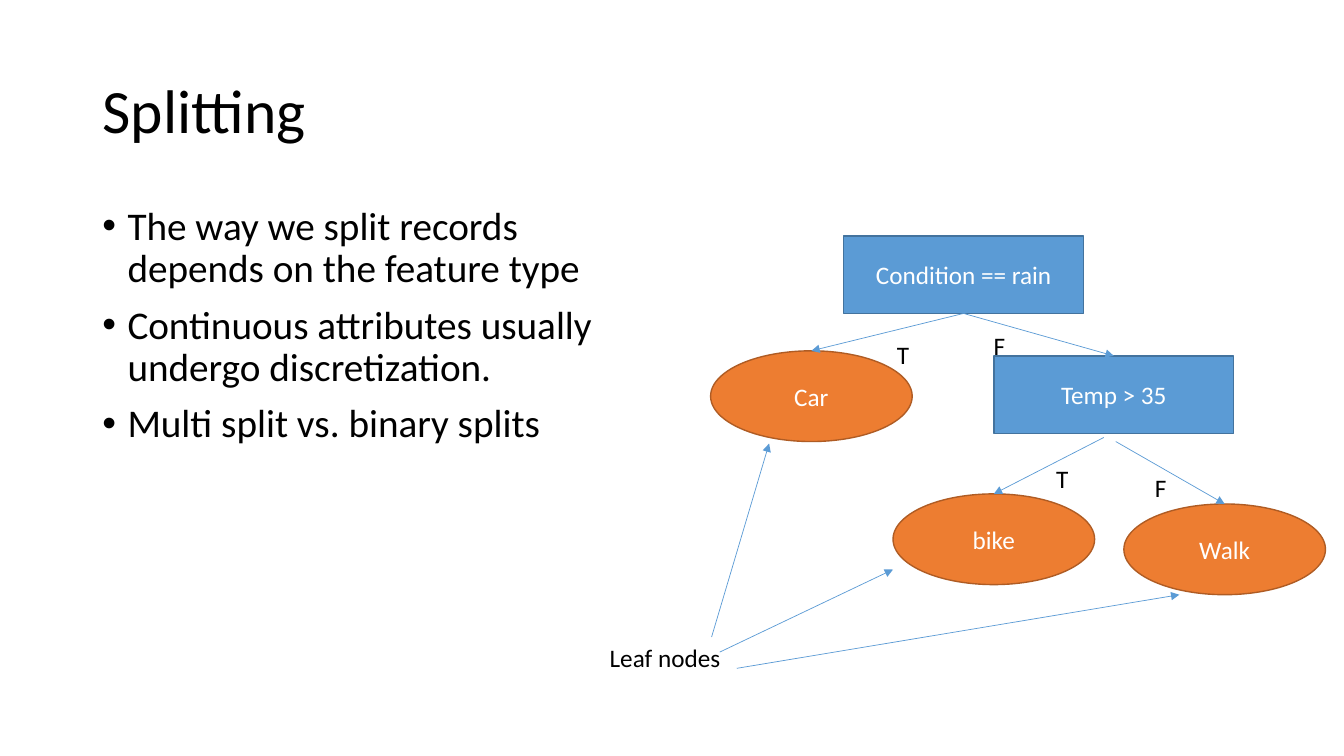
from lxml import etree
from pptx import Presentation
from pptx.dml.color import RGBColor
from pptx.enum.shapes import MSO_CONNECTOR, MSO_SHAPE
from pptx.enum.text import MSO_ANCHOR, MSO_AUTO_SIZE, PP_ALIGN
from pptx.oxml.ns import qn
from pptx.util import Pt

RECTANGLE, ELLIPSE = MSO_SHAPE.RECTANGLE, MSO_SHAPE.OVAL
STRAIGHT = MSO_CONNECTOR.STRAIGHT
TOP, MIDDLE = MSO_ANCHOR.TOP, MSO_ANCHOR.MIDDLE
LEFT, CENTER = PP_ALIGN.LEFT, PP_ALIGN.CENTER
NO_FIT = MSO_AUTO_SIZE.NONE

FONT = "Calibri"
BLACK, WHITE = "000000", "FFFFFF"
BLUE, BLUE_EDGE = "5B9BD5", "43739E"
ORANGE, ORANGE_EDGE = "ED7D31", "AF5C24"

TITLE_BOX = (66, 28.8, 828, 104.4)
BODY_BOX = (66, 144, 406, 342.7)
TREE_BOX = (428.4, 168.5, 518.4, 315.4)

BULLETS = [
    "The way we split records depends on the feature type",
    "Continuous attributes usually undergo discretization.",
    "Multi split vs. binary splits",
]

# Places inside the tree box
DECISION_SIZE = (171.4, 55.4)
LEAF_SIZE = (144, 64.8)
DECISIONS = {"Condition == rain": (174.2, 0), "Temp > 35": (281.5, 85.7)}
LEAVES = {"Car": (79.2, 82.1), "bike": (209.5, 184.3), "Walk": (374.4, 191.5)}
BRANCH_LABELS = [
    ("T", 205.2, 70.5), ("T", 319, 159.1),
    ("F", 274.3, 64.1), ("F", 389.5, 165.6),
]
LEAF_NOTE = ("Leaf nodes", 0, 286.5)
LEAF_POINTERS = [
    ((85.7, 297.3), (209.5, 238.3)),
    ((97.9, 308.9), (414, 256.3)),
    ((79.9, 286.5), (121, 148.3)),
]


def color(code):
    return RGBColor.from_string(code)


def write(frame, texts, size=18, ink=BLACK, align=LEFT, anchor=TOP,
          line_spacing=1.0, before=0, wrap=True, bullet=False):
    """Fill a text frame with one paragraph for each text."""
    frame.auto_size = NO_FIT
    frame.word_wrap = wrap
    frame.vertical_anchor = anchor
    for index, text in enumerate(texts):
        para = frame.paragraphs[0] if index == 0 else frame.add_paragraph()
        para.alignment = align
        para.line_spacing = line_spacing
        para.space_before = Pt(before)
        span = para.add_run()
        span.text = text
        span.font.name = FONT
        span.font.size = Pt(size)
        span.font.color.rgb = color(ink)
        if bullet:
            add_bullet(para)


def add_bullet(para):
    props = para._p.get_or_add_pPr()
    props.set("marL", str(Pt(18)))
    props.set("indent", str(Pt(-18)))
    etree.SubElement(props, qn("a:buFont")).set("typeface", "Arial")
    etree.SubElement(props, qn("a:buChar")).set("char", "•")


def add_title(page, box, text):
    title = page.shapes.title
    title.left, title.top, title.width, title.height = map(Pt, box)
    write(title.text_frame, [text], size=44, anchor=MIDDLE, line_spacing=0.9)


def add_body(page, box, texts):
    body = page.shapes.add_textbox(*map(Pt, box))
    write(body.text_frame, texts, size=28, line_spacing=0.9, before=10,
          bullet=True)


def add_node(page, kind, box, text, fill, edge):
    node = page.shapes.add_shape(kind, *map(Pt, box))
    node.shadow.inherit = False
    node.fill.solid()
    node.fill.fore_color.rgb = color(fill)
    node.line.color.rgb = color(edge)
    node.line.width = Pt(1)
    write(node.text_frame, [text], ink=WHITE, align=CENTER, anchor=MIDDLE)


def add_label(page, left, top, text, width=33.8):
    label = page.shapes.add_textbox(Pt(left), Pt(top), Pt(width), Pt(28.8))
    write(label.text_frame, [text], wrap=False)


def add_arrow(page, start, end):
    arrow = page.shapes.add_connector(STRAIGHT, *map(Pt, (*start, *end)))
    arrow.line.color.rgb = color(BLUE)
    arrow.line.width = Pt(0.5)
    outline = arrow.line._get_or_add_ln()
    etree.SubElement(outline, qn("a:tailEnd")).set("type", "triangle")
    etree.SubElement(arrow._element.spPr, qn("a:effectLst"))


def add_tree(page, box):
    """Draw the decision tree, its branch labels and the leaf note."""
    left, top = box[:2]

    def place(point):
        return left + point[0], top + point[1]

    def top_center(point, size):
        return place((point[0] + size[0] / 2, point[1]))

    for text, point in DECISIONS.items():
        add_node(page, RECTANGLE, (*place(point), *DECISION_SIZE), text,
                 BLUE, BLUE_EDGE)
    for text, point in LEAVES.items():
        add_node(page, ELLIPSE, (*place(point), *LEAF_SIZE), text,
                 ORANGE, ORANGE_EDGE)

    root_x, root_y = top_center(DECISIONS["Condition == rain"], DECISION_SIZE)
    root_exit = root_x, root_y + DECISION_SIZE[1]
    add_arrow(page, root_exit, top_center(LEAVES["Car"], LEAF_SIZE))
    add_arrow(page, root_exit,
              top_center(DECISIONS["Temp > 35"], DECISION_SIZE))
    add_arrow(page, place((368.6, 146.9)),
              top_center(LEAVES["Walk"], LEAF_SIZE))
    add_arrow(page, place((360, 144)), top_center(LEAVES["bike"], LEAF_SIZE))

    for text, *point in BRANCH_LABELS:
        add_label(page, *place(point), text)
    note, *point = LEAF_NOTE
    add_label(page, *place(point), note, width=115.9)
    for start, end in LEAF_POINTERS:
        add_arrow(page, place(start), place(end))


def main():
    deck = Presentation()
    deck.slide_width, deck.slide_height = Pt(960), Pt(540)
    page = deck.slides.add_slide(deck.slide_layouts.get_by_name("Title Only"))
    add_title(page, TITLE_BOX, "Splitting")
    add_body(page, BODY_BOX, BULLETS)
    add_tree(page, TREE_BOX)
    deck.save("out.pptx")


if __name__ == "__main__":
    main()
